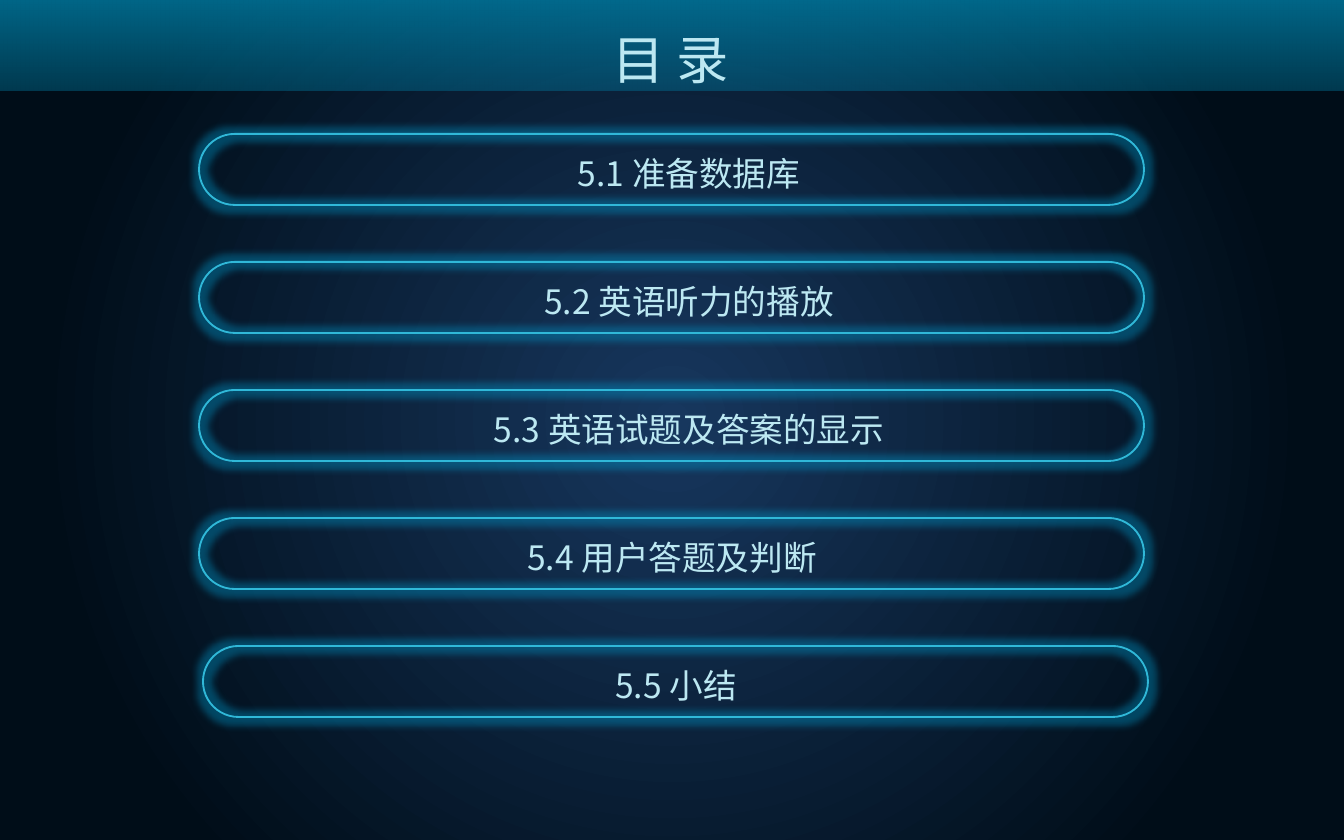
"""Build the contents slide of chapter 5 with glowing pill-shaped entries."""
from lxml import etree
from pptx import Presentation
from pptx.dml.color import RGBColor
from pptx.enum.shapes import MSO_SHAPE
from pptx.enum.text import MSO_ANCHOR, PP_ALIGN
from pptx.oxml import parse_xml
from pptx.oxml.ns import qn
from pptx.util import Pt

PILL = MSO_SHAPE.ROUNDED_RECTANGLE
BAND = MSO_SHAPE.ROUND_2_SAME_RECTANGLE
MIDDLE = MSO_ANCHOR.MIDDLE
CENTER = PP_ALIGN.CENTER

NS = "http://schemas.openxmlformats.org/drawingml/2006/main"
FONT = "Noto Sans CJK SC"
NAVY = RGBColor(0x17, 0x37, 0x5E)
NIGHT = RGBColor(0x00, 0x0D, 0x18)
TEAL = RGBColor(0x00, 0x7D, 0xA4)
CYAN = RGBColor(0x30, 0xB8, 0xD8)
GLOW = RGBColor(0x00, 0x96, 0xC8)
PALE = RGBColor(0xBC, 0xE8, 0xF2)

WIDTH, HEIGHT = 1344, 840
TITLE = "目 录"
TITLE_BOX = (560, 7, 222, 90)
BAND_BOX = (0, 0, WIDTH, 90)
ENTRIES = [
    ("5.1 准备数据库", 199, 452),
    ("5.2 英语听力的播放", 199, 452),
    ("5.3 英语试题及答案的显示", 199, 452),
    ("5.4 用户答题及判断", 199, 418),
    ("5.5 小结", 203, 418),
]
PILL_TOP, PILL_PITCH, PILL_W, PILL_H = 134, 128, 945, 71
LABEL_DX, LABEL_DY, LABEL_H = 264, 12, 54


def px(*values):
    return [round(v * 914400 / 134.4) for v in values]


def gradient(stops, direction):
    gs = "".join(
        f'<a:gs pos="{pos * 1000}"><a:srgbClr val="{color}">'
        f'<a:alpha val="{alpha * 1000}"/></a:srgbClr></a:gs>'
        for pos, color, alpha in stops
    )
    return parse_xml(
        f'<a:gradFill xmlns:a="{NS}" rotWithShape="1">'
        f"<a:gsLst>{gs}</a:gsLst>{direction}</a:gradFill>"
    )


def set_gradient(fill, parent, stops, direction):
    fill.solid()
    solid = parent.find(".//" + qn("a:solidFill"))
    solid.getparent().replace(solid, gradient(stops, direction))


def add_text(shapes, box, text, size):
    tb = shapes.add_textbox(*px(*box))
    tf = tb.text_frame
    tf.word_wrap = True
    tf.vertical_anchor = MIDDLE
    tf.text = text
    p = tf.paragraphs[0]
    p.alignment = CENTER
    r = p.runs[0]
    r.font.size = Pt(size)
    r.font.name = FONT
    r.font.color.rgb = PALE
    etree.SubElement(r.font._element, qn("a:ea")).set("typeface", FONT)
    return p


def add_pill(shapes, box):
    sp = shapes.add_shape(PILL, *px(*box))
    sp.adjustments[0] = 0.5
    sp.fill.background()
    sp.line.color.rgb = CYAN
    sp.line.width = Pt(1)
    sp.shadow.inherit = False
    effects = sp._element.spPr.find(qn("a:effectLst"))
    effects.append(parse_xml(
        f'<a:glow xmlns:a="{NS}" rad="{Pt(8)}"><a:srgbClr val="{GLOW}">'
        '<a:alpha val="40000"/></a:srgbClr></a:glow>'
    ))


def main():
    prs = Presentation()
    prs.slide_width, prs.slide_height = px(WIDTH, HEIGHT)
    s = prs.slides.add_slide(prs.slide_layouts[6])
    set_gradient(
        s.background.fill, s._element, [(0, NAVY, 100), (80, NIGHT, 100)],
        '<a:path path="circle"><a:fillToRect l="50000" t="50000" r="50000" b="50000"/></a:path>',
    )

    band = s.shapes.add_shape(BAND, *px(*BAND_BOX))
    band.adjustments[0] = band.adjustments[1] = 0
    band.shadow.inherit = False
    band.line.fill.background()
    set_gradient(
        band.fill, band._element.spPr, [(0, TEAL, 80), (100, TEAL, 39)],
        '<a:lin ang="5400000" scaled="0"/>',
    )

    for i, (text, left, label_w) in enumerate(ENTRIES):
        top = PILL_TOP + i * PILL_PITCH
        group = s.shapes.add_group_shape()
        add_pill(group.shapes, (left, top, PILL_W, PILL_H))
        add_text(group.shapes, (left + LABEL_DX, top + LABEL_DY, label_w, LABEL_H), text, 18)

    p = add_text(s.shapes, TITLE_BOX, TITLE, 28)
    p.line_spacing = 1.2
    prs.save("out.pptx")


if __name__ == "__main__":
    main()
